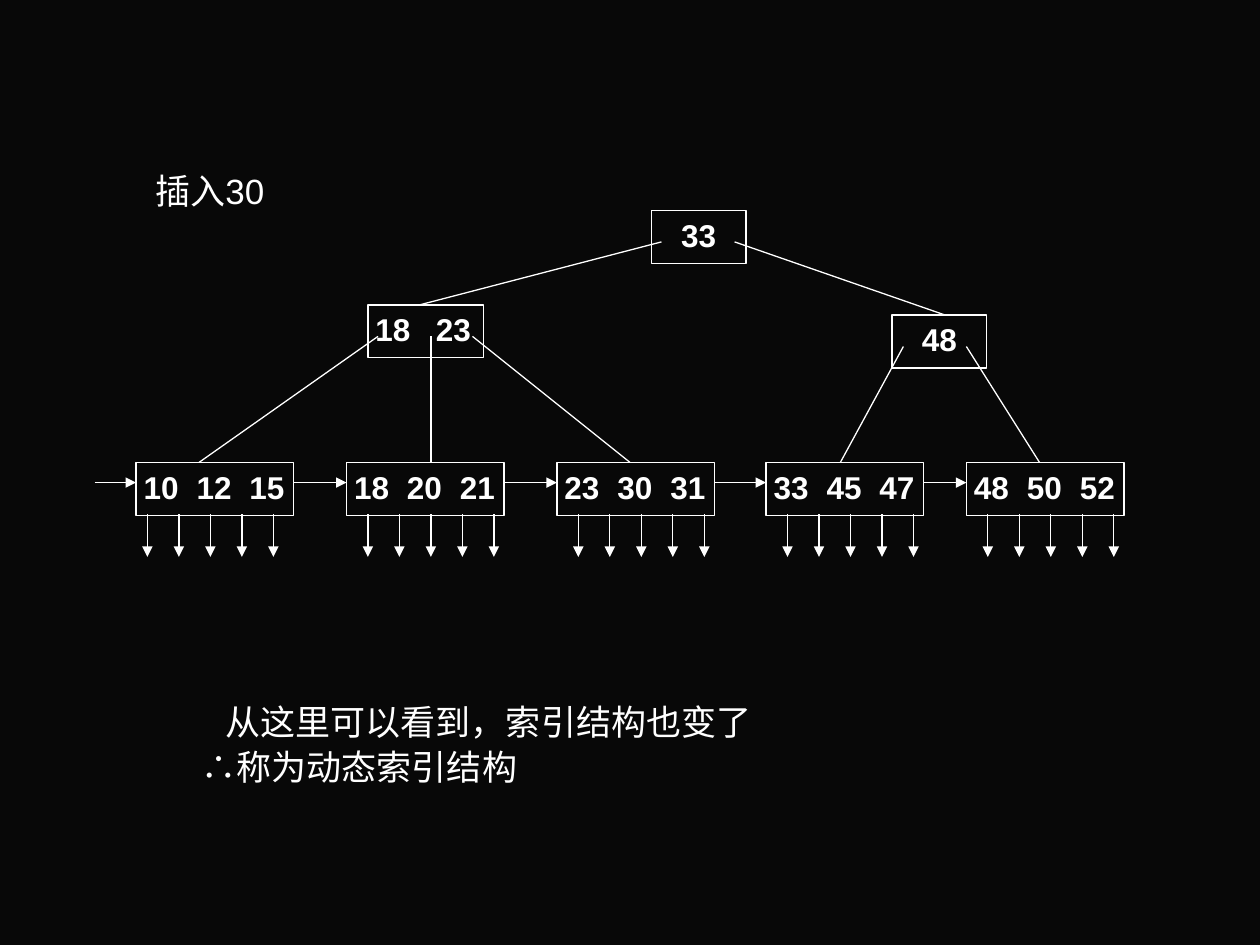
import pptx
import pptx.dml.color
import pptx.enum.shapes
import pptx.enum.text
import pptx.util
from lxml import etree
from pptx.oxml.ns import qn
from pptx.util import Inches, Pt

WHITE = "FFFFFF"
CJK_FONT = "Noto Sans CJK SC"
color = pptx.dml.color.RGBColor.from_string
Align = pptx.enum.text.PP_ALIGN
Anchor = pptx.enum.text.MSO_ANCHOR


def format_run(run, size, font, bold=False):
    run.font.size = Pt(size)
    run.font.name = font
    run.font.bold = bold
    run.font.color.rgb = color(WHITE)
    east_asian = etree.SubElement(run.font._element, qn("a:ea"))
    east_asian.set("typeface", CJK_FONT)


def add_line(slide, start, end, arrow=False):
    connector = slide.shapes.add_connector(
        pptx.enum.shapes.MSO_CONNECTOR.STRAIGHT,
        Inches(start[0]), Inches(start[1]), Inches(end[0]), Inches(end[1]))
    connector.line.color.rgb = color(WHITE)
    connector.line.width = Pt(0.75)
    if arrow:
        line = connector.line._get_or_add_ln()
        etree.SubElement(line, qn("a:tailEnd")).set("type", "triangle")
    etree.SubElement(connector._element.spPr, qn("a:effectLst"))


presentation = pptx.Presentation()
presentation.slide_width = Inches(10)
presentation.slide_height = Inches(7.5)
slide = presentation.slides.add_slide(presentation.slide_layouts[1])
slide.background.fill.solid()
slide.background.fill.fore_color.rgb = color("080808")

# Conclusion in the body placeholder, set at the bottom of its frame
title = slide.shapes.title
title._element.getparent().remove(title._element)
body = slide.placeholders[1]
body.left, body.top = Inches(1.17), Inches(0.42)
body.width, body.height = Inches(8.5), Inches(6.33)
frame = body.text_frame
frame.auto_size = pptx.enum.text.MSO_AUTO_SIZE.NONE
frame.vertical_anchor = Anchor.BOTTOM
frame.margin_left = frame.margin_right = frame.margin_top = Inches(0.05)
frame.margin_bottom = Inches(0.5)
conclusion = [
    (0.57, [("从这里可以看到，索引结构也变了", CJK_FONT)]),
    (0.38, [("∴", "Arial"), ("称为动态索引结构", CJK_FONT)]),
]
for index, (indent, parts) in enumerate(conclusion):
    paragraph = frame.paragraphs[0] if index == 0 else frame.add_paragraph()
    paragraph.space_before = Pt(1.5)
    properties = paragraph._p.get_or_add_pPr()
    properties.set("marL", str(Inches(indent)))
    properties.set("indent", "0")
    etree.SubElement(properties, qn("a:buNone"))
    for text, font in parts:
        run = paragraph.add_run()
        run.text = text
        format_run(run, 20, font)

# Heading of the example
heading = slide.shapes.add_textbox(Inches(1), Inches(1.33), Inches(1.33), Inches(0.49))
frame = heading.text_frame
frame.word_wrap = True
frame.margin_left = frame.margin_right = Inches(0.05)
frame.margin_top = frame.margin_bottom = Inches(0.05)
paragraph = frame.paragraphs[0]
paragraph.alignment = Align.CENTER
paragraph.line_spacing = 0.9
paragraph.space_before = Pt(12)
for text, font in [("插入", CJK_FONT), ("30", "Arial")]:
    run = paragraph.add_run()
    run.text = text
    format_run(run, 20, font)

# Tree nodes: left, top, width, distance between keys, keys
leaf_top, leaf_width, node_height = 3.67, 1.25, 0.42
leaves = [
    (1.08, ["10", "12", "15"]),
    (2.75, ["18", "20", "21"]),
    (4.42, ["23", "30", "31"]),
    (6.08, ["33", "45", "47"]),
    (7.67, ["48", "50", "52"]),
]
nodes = [
    (5.17, 1.67, 0.75, 0, ["33"]),
    (2.92, 2.42, 0.92, 0.48, ["18", "23"]),
    (7.08, 2.5, 0.75, 0, ["48"]),
]
nodes += [(left, leaf_top, leaf_width, 0.42, keys) for left, keys in leaves]
for left, top, width, key_step, keys in nodes:
    node = slide.shapes.add_shape(
        pptx.enum.shapes.MSO_SHAPE.RECTANGLE,
        Inches(left), Inches(top), Inches(width), Inches(node_height))
    node.shadow.inherit = False
    node.fill.background()
    node.line.color.rgb = color(WHITE)
    node.line.width = Pt(0.75)
    frame = node.text_frame
    frame.word_wrap = True
    frame.vertical_anchor = Anchor.MIDDLE
    frame.margin_left = frame.margin_right = Inches(0.06)
    frame.margin_top = frame.margin_bottom = Inches(0.05)
    paragraph = frame.paragraphs[0]
    paragraph.text = "\t".join(keys)
    paragraph.alignment = Align.LEFT if len(keys) > 1 else Align.CENTER
    paragraph.line_spacing = 0.9
    format_run(paragraph.runs[0], 18, "Arial", bold=True)
    if len(keys) > 1:
        tab_list = etree.SubElement(paragraph._p.get_or_add_pPr(), qn("a:tabLst"))
        for position in range(1, len(keys)):
            tab = etree.SubElement(tab_list, qn("a:tab"))
            tab.set("pos", str(Inches(key_step * position)))
            tab.set("algn", "l")

# Branches from parent to child
branches = [
    ((5.25, 1.92), (3.33, 2.42)),
    ((5.83, 1.92), (7.5, 2.5)),
    ((3, 2.67), (1.58, leaf_top)),
    ((3.42, 2.67), (3.42, leaf_top)),
    ((3.75, 2.67), (5, leaf_top)),
    ((7.17, 2.75), (6.67, leaf_top)),
    ((7.67, 2.75), (8.25, leaf_top)),
]
for start, end in branches:
    add_line(slide, start, end)

# Chain through the leaves and the record pointers below them
chain_y, pointer_top, pointer_bottom = 3.83, 4.08, 4.42
chain_start = 0.75
for index, (left, keys) in enumerate(leaves):
    add_line(slide, (chain_start, chain_y), (left, chain_y), arrow=True)
    chain_start = left + leaf_width
    first_pointer = left + (0.09 if index == 0 else 0.17)
    for position in range(5):
        x = first_pointer + 0.25 * position
        add_line(slide, (x, pointer_top), (x, pointer_bottom), arrow=True)

presentation.save("out.pptx")
